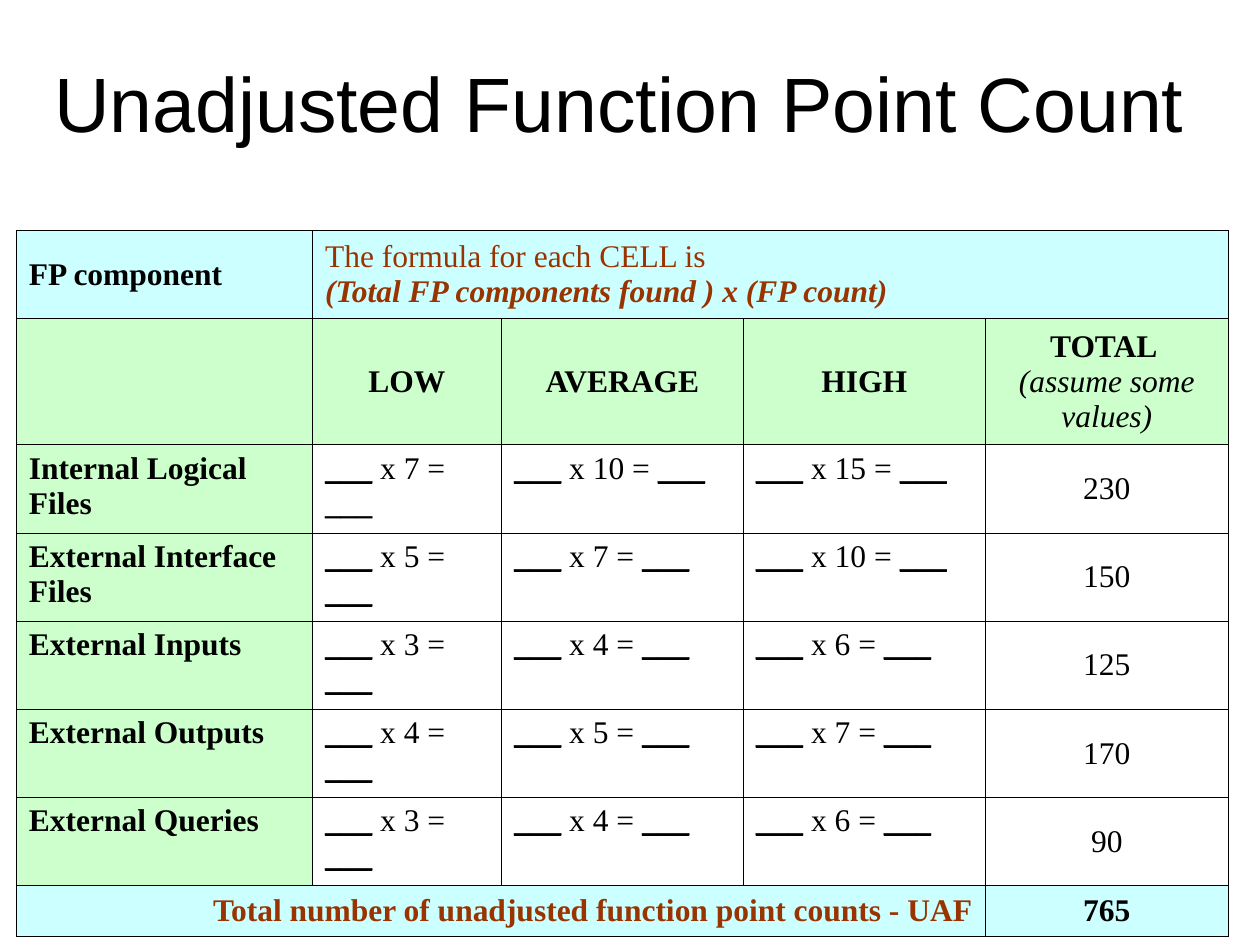
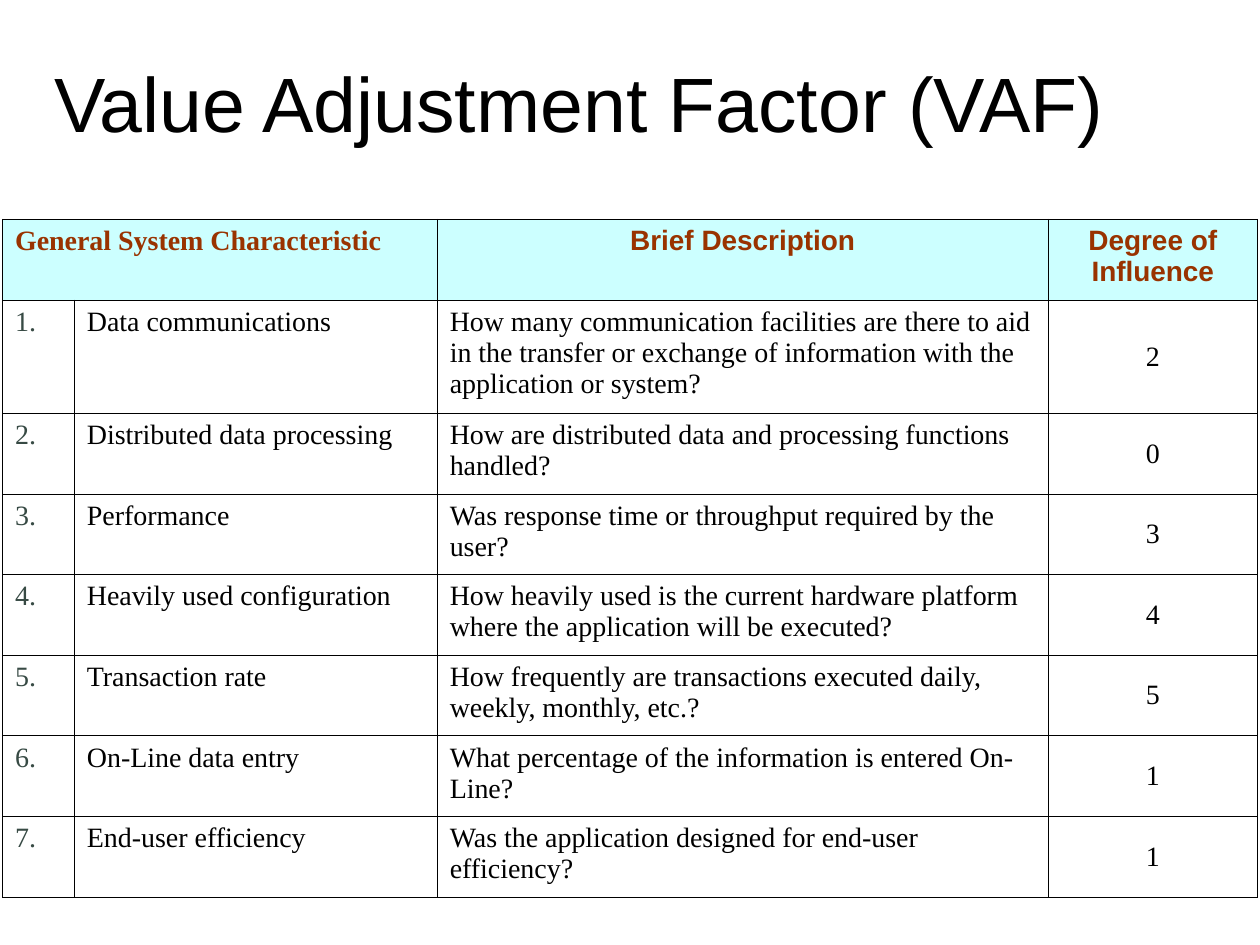
from dataclasses import dataclass, field

from lxml.etree import SubElement
from pptx import Presentation
from pptx.dml.color import RGBColor
from pptx.enum.text import MSO_ANCHOR, MSO_AUTO_SIZE, PP_ALIGN
from pptx.oxml.ns import qn
from pptx.util import Emu, Pt

PX = 9144  # EMU per px, 100 px to the inch


@dataclass(frozen=True)
class Theme:
    ink: str = "000000"
    accent: str = "993300"
    number: str = "374A44"
    band: str = "CCFFFF"
    label: str = "CCFFCC"
    sans: str = "Arial"
    serif: str = "Times New Roman"
    title_size: int = 44
    count_size: int = 18
    factor_size: int = 16
    border: float = 0.45


THEME = Theme()


@dataclass
class Entry:
    """One table cell: paragraphs are lists of (text, format) runs."""
    paragraphs: list = field(default_factory=list)
    fill: str = ""
    align: PP_ALIGN = PP_ALIGN.LEFT
    anchor: MSO_ANCHOR = MSO_ANCHOR.TOP
    span: int = 1


def entry(text, look=None, **layout):
    return Entry([[(text, look or {})]], **layout)


MIDDLE = {"anchor": MSO_ANCHOR.MIDDLE}
CENTERED = {"align": PP_ALIGN.CENTER, **MIDDLE}
BOLD = {"bold": True}
ACCENT = {"color": THEME.accent}
ACCENT_BOLD = {**ACCENT, **BOLD}


class Deck:
    def __init__(self, theme):
        self.theme = theme
        self.presentation = Presentation()
        self.presentation.slide_width = Emu(1000 * PX)
        self.presentation.slide_height = Emu(750 * PX)
        self.slide = None

    def add_slide(self, heading):
        layout = self.presentation.slide_layouts[5]
        self.slide = self.presentation.slides.add_slide(layout)
        title = self.slide.shapes.title
        place = {"left": 33, "top": 33, "width": 933, "height": 96}
        for side, length in place.items():
            setattr(title, side, Emu(length * PX))
        frame = title.text_frame
        settings = {"word_wrap": True, "auto_size": MSO_AUTO_SIZE.NONE,
                    "vertical_anchor": MSO_ANCHOR.MIDDLE}
        for name, value in settings.items():
            setattr(frame, name, value)
        paragraph = frame.paragraphs[0]
        paragraph.alignment = PP_ALIGN.LEFT
        self.add_run(paragraph, heading, name=self.theme.sans,
                     size=self.theme.title_size)

    def add_run(self, paragraph, text, color=THEME.ink, size=18, **look):
        run = paragraph.add_run()
        run.text = text
        run.font.size = Pt(size)
        run.font.color.rgb = RGBColor.from_string(color)
        for name, value in look.items():
            setattr(run.font, name, value)

    def add_borders(self, cell):
        properties = cell._tc.get_or_add_tcPr()
        for side in "LRTB":
            line = SubElement(properties, qn(f"a:ln{side}"),
                              w=str(Pt(self.theme.border)))
            paint = SubElement(line, qn("a:solidFill"))
            SubElement(paint, qn("a:srgbClr"), val=self.theme.ink)

    def fill_cell(self, cell, content, base):
        cell.vertical_anchor = content.anchor
        if content.fill:
            cell.fill.solid()
            cell.fill.fore_color.rgb = RGBColor.from_string(content.fill)
        else:
            cell.fill.background()
        frame = cell.text_frame
        for index, runs in enumerate(content.paragraphs):
            paragraph = frame.add_paragraph() if index else frame.paragraphs[0]
            paragraph.alignment = content.align
            for text, look in runs:
                if text == "\n":
                    paragraph.add_line_break()
                else:
                    self.add_run(paragraph, text, **{**base, **look})

    def add_table(self, left, top, widths, heights, rows, size):
        box = (left, top, sum(widths), sum(heights))
        table = self.slide.shapes.add_table(
            len(heights), len(widths), *(Emu(n * PX) for n in box)).table
        table.first_row = table.horz_banding = False
        for column, width in zip(table.columns, widths):
            column.width = Emu(width * PX)
        for row, height in zip(table.rows, heights):
            row.height = Emu(height * PX)
        for cell in table.iter_cells():
            self.add_borders(cell)
        base = {"name": self.theme.serif, "size": size}
        for r, contents in enumerate(rows):
            c = 0
            for content in contents:
                cell = table.cell(r, c)
                if content.span > 1:
                    cell.merge(table.cell(r, c + content.span - 1))
                self.fill_cell(cell, content, base)
                c += content.span


def weight_entry(weight):
    blank = ("___", {"bold": True, "underline": True})
    return Entry([[blank, (f" x {weight} = ", {}), blank]])


def add_function_points(deck):
    theme = deck.theme
    deck.add_slide("Unadjusted Function Point Count")
    components = [
        ("Internal Logical Files", (7, 10, 15), 230),
        ("External Interface Files", (5, 7, 10), 150),
        ("External Inputs", (3, 4, 6), 125),
        ("External Outputs", (4, 5, 7), 170),
        ("External Queries", (3, 4, 6), 90),
    ]
    # Formula and complexity headings
    formula = Entry([
        [("The formula for each CELL is", ACCENT)],
        [("(Total FP components found ) x (FP count)",
          {**ACCENT_BOLD, "italic": True})],
    ], fill=theme.band, span=4, **MIDDLE)
    total = Entry([[("TOTAL ", BOLD), ("\n", {}),
                    ("(assume some values)", {"italic": True})]],
                  fill=theme.label, **CENTERED)
    levels = [entry(level, BOLD, fill=theme.label, **CENTERED)
              for level in ("LOW", "AVERAGE", "HIGH")]
    rows = [
        [entry("FP component", BOLD, fill=theme.band, **MIDDLE), formula],
        [Entry(fill=theme.label), *levels, total],
    ]
    # One row for each component, then the sum
    for component, weights, points in components:
        rows.append([entry(component, BOLD, fill=theme.label),
                     *map(weight_entry, weights),
                     entry(str(points), **CENTERED)])
    points_sum = sum(points for _, _, points in components)
    rows.append([
        entry("Total number of unadjusted function point counts - UAF",
              ACCENT_BOLD, fill=theme.band, span=4, align=PP_ALIGN.RIGHT,
              **MIDDLE),
        entry(str(points_sum), BOLD, fill=theme.band, **CENTERED),
    ])
    deck.add_table(13, 183, [235, 150, 192, 192, 193],
                   [70, 100] + [70] * len(components) + [40],
                   rows, theme.count_size)


def add_value_adjustment(deck):
    theme = deck.theme
    deck.add_slide("Value Adjustment Factor (VAF)")
    characteristics = [
        ("Data communications",
         "How many communication facilities are there to aid in the transfer "
         "or exchange of information with the application or system?", 2),
        ("Distributed data processing",
         "How are distributed data and processing functions handled?", 0),
        ("Performance",
         "Was response time or throughput required by the user?", 3),
        ("Heavily used configuration",
         "How heavily used is the current hardware platform where the "
         "application will be executed?", 4),
        ("Transaction rate",
         "How frequently are transactions executed daily, weekly, monthly, "
         "etc.?", 5),
        ("On-Line data entry",
         "What percentage of the information is entered On-Line?", 1),
        ("End-user efficiency",
         "Was the application designed for end-user efficiency?", 1),
    ]
    # Column headings
    sans_heading = {**ACCENT_BOLD, "name": theme.sans}
    rows = [[
        entry("General System Characteristic", ACCENT_BOLD,
              fill=theme.band, span=2),
        *(entry(heading, sans_heading, fill=theme.band, align=PP_ALIGN.CENTER)
          for heading in ("Brief Description", "Degree of Influence")),
    ]]
    # Numbered characteristics
    for number, (name, question, influence) in enumerate(characteristics, 1):
        rows.append([entry(f"{number}.", {"color": theme.number}),
                     entry(name), entry(question),
                     entry(str(influence), **CENTERED)])
    deck.add_table(2, 174, [57, 288, 485, 166], [64, 90] + [64] * 6,
                   rows, theme.factor_size)


def main():
    deck = Deck(THEME)
    add_function_points(deck)
    add_value_adjustment(deck)
    deck.presentation.save("out.pptx")


if __name__ == "__main__":
    main()
